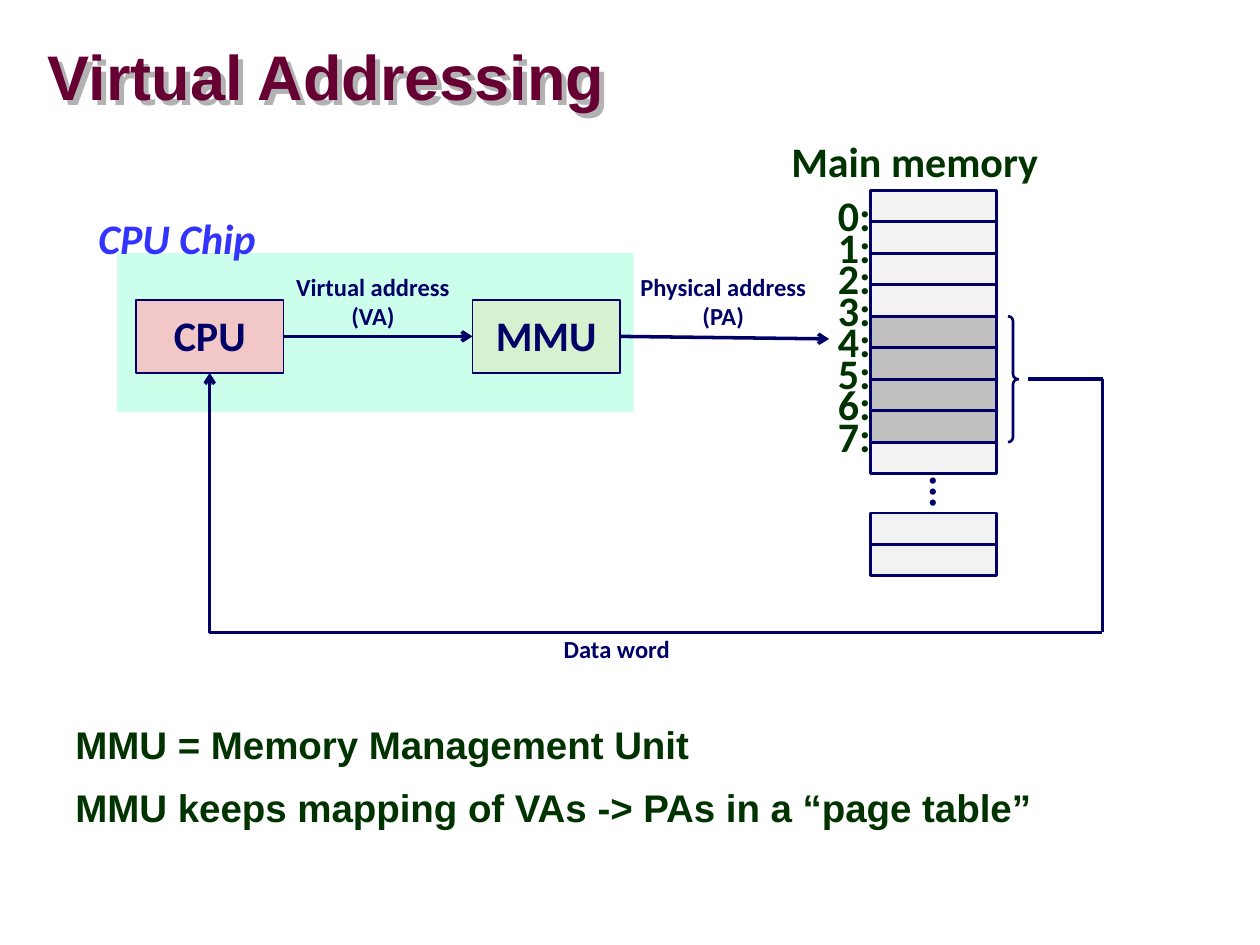
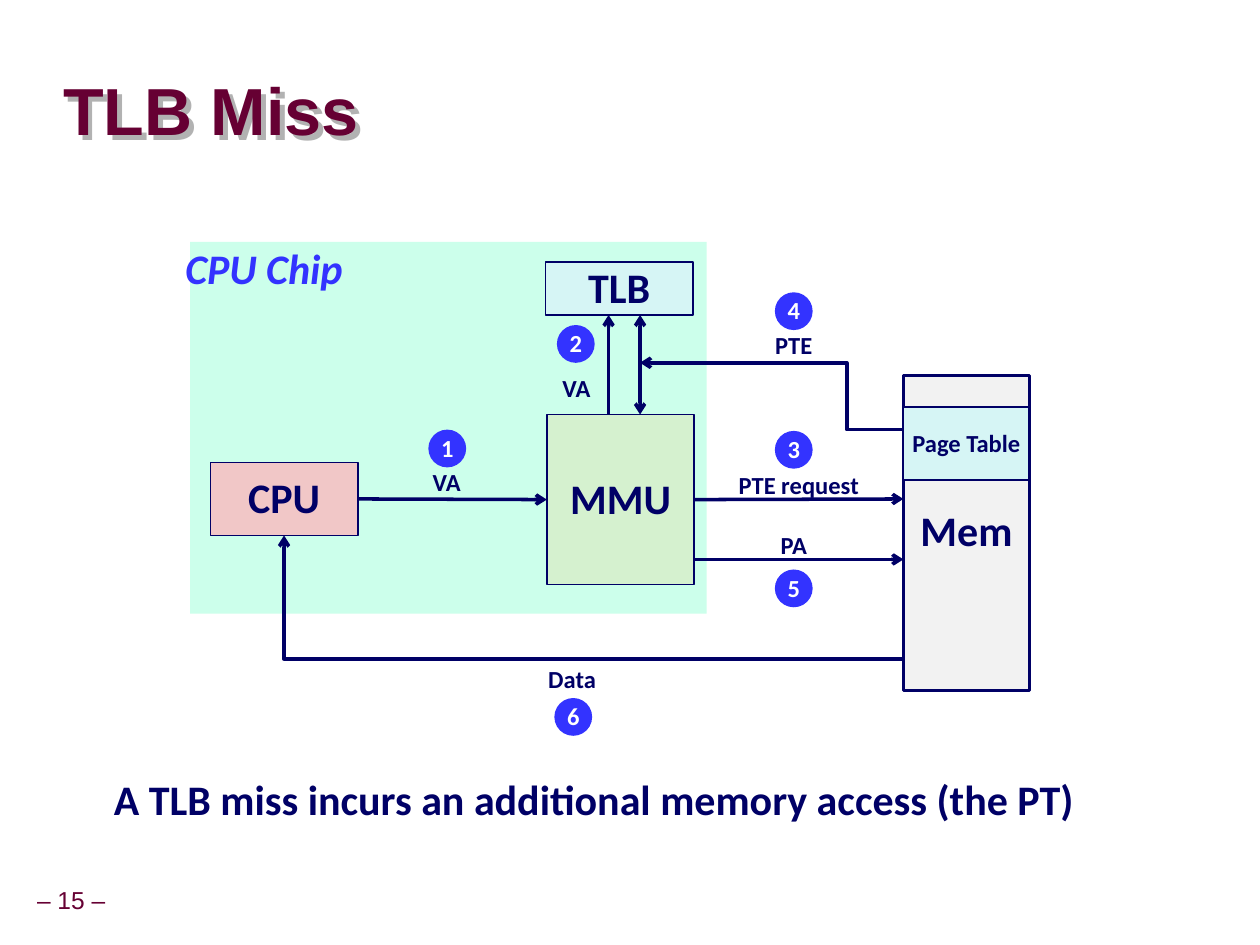
from lxml.etree import SubElement
from pptx import Presentation
from pptx.dml.color import RGBColor
from pptx.enum.shapes import MSO_CONNECTOR, MSO_SHAPE
from pptx.enum.text import MSO_ANCHOR, MSO_AUTO_SIZE, PP_ALIGN
from pptx.oxml import parse_xml
from pptx.oxml.ns import nsdecls, qn
from pptx.util import Inches, Pt

# Shared colours
hue = RGBColor.from_string
NAVY, GREEN, BLUE, WINE = "000066", "003300", "3333FF", "660033"
CHIP, PINK, LIME, AQUA = "CCFFEB", "F1C7C7", "D5F1CF", "D6F5F5"
PALE, GREY, WHITE, SHADE = "F2F2F2", "C0C0C0", "FFFFFF", "B2B2B2"
TOP, MID = MSO_ANCHOR.TOP, MSO_ANCHOR.MIDDLE


def box(page, text, x, y, w, h, fill=None, edge=0, size=14, color=NAVY,
        kind=MSO_SHAPE.RECTANGLE, anchor=MID, gap=0.98, wrap=False,
        align=PP_ALIGN.CENTER, font="Calibri", bold=True, before=0):
    """Add a filled shape, or a text box when there is no fill."""
    place = [Inches(n) for n in (x, y, w, h)]
    if fill:
        item = page.shapes.add_shape(kind, *place)
        item.shadow.inherit = False
        item.fill.solid()
        item.fill.fore_color.rgb = hue(fill)
        if edge:
            item.line.color.rgb = hue(NAVY)
            item.line.width = Pt(edge)
        else:
            item.line.fill.background()
    else:
        item = page.shapes.add_textbox(*place)
    frame = item.text_frame
    frame.text = text
    frame.word_wrap = wrap
    frame.vertical_anchor = anchor
    if not fill and not wrap:
        frame.auto_size = MSO_AUTO_SIZE.SHAPE_TO_FIT_TEXT
    for i, para in enumerate(frame.paragraphs):
        para.alignment = align
        para.line_spacing = gap
        if i and before:
            para.space_before = Pt(before)
        for run in para.runs:
            run.font.name = font
            run.font.size = Pt(size)
            run.font.bold = bold
            run.font.color.rgb = hue(color)
    return item


def wire(page, x1, y1, x2, y2, ends=("tailEnd",), bend=None):
    """Add a line; bend names the preset of an elbow."""
    kind = MSO_CONNECTOR.ELBOW if bend else MSO_CONNECTOR.STRAIGHT
    line = page.shapes.add_connector(
        kind, Inches(x1), Inches(y1), Inches(x2), Inches(y2))
    line.line.color.rgb = hue(NAVY)
    line.line.width = Pt(2)
    props = line._element.spPr
    for end in ends:
        SubElement(props.find(qn("a:ln")), qn("a:" + end), type="arrow")
    SubElement(props, qn("a:effectLst"))
    if bend:
        props.find(qn("a:prstGeom")).set("prst", bend)
    return line


deck = Presentation()
deck.slide_width, deck.slide_height = Inches(10), Inches(7.5)

# Titles and the parts both slides share
pages = []
for name, size, x, y, chip, label in [
        ("Virtual Addressing", 36, 0.38, 0.21,
         (0.93, 2.01, 4.1, 1.26), (0.68, 1.68)),
        ("TLB Miss", 38, 0.5, 0.48,
         (1.51, 1.92, 4.1, 2.95), (1.37, 1.92))]:
    page = deck.slides.add_slide(deck.slide_layouts[5])
    pages.append(page)
    title = page.shapes.title
    title.left, title.top = Inches(x), Inches(y)
    title.width, title.height = Inches(9.53), Inches(0.86)
    title.fill.background()
    frame = title.text_frame
    frame.text = name
    frame.auto_size = MSO_AUTO_SIZE.NONE
    frame.vertical_anchor = MID
    frame.margin_left = frame.margin_right = 0
    frame.margin_top = frame.margin_bottom = 0
    para = frame.paragraphs[0]
    para.alignment = PP_ALIGN.LEFT
    para.line_spacing = 0.87
    font = para.runs[0].font
    font.name, font.size, font.bold = "Arial", Pt(size), True
    font.color.rgb = hue(WINE)
    # An unfilled shape casts the shadow of its text
    title._element.spPr.append(parse_xml(
        f'<a:effectLst {nsdecls("a")}><a:outerShdw dist="50800" dir="2700000">'
        f'<a:srgbClr val="{SHADE}"/></a:outerShdw></a:effectLst>'))

    box(page, "", *chip, fill=CHIP)
    tag = box(page, "CPU Chip", *label, 1.45, 0.46, size=24, color=BLUE,
              anchor=TOP, gap=0.9)
    tag.text_frame.paragraphs[0].runs[0].font.italic = True

first, second = pages

# Slide 1: processor side
cpu = box(first, "CPU", 1.08, 2.38, 1.17, 0.58, PINK, 1, 24)
mmu = box(first, "MMU", 3.75, 2.38, 1.17, 0.58, LIME, 1, 24)
box(first, "Virtual address\n(VA)", 2.25, 2.12, 1.42, 0.56)
box(first, "Physical address\n(PA)", 4.98, 2.12, 1.52, 0.56)
box(first, "Data word", 4.37, 4.99, 1.05, 0.33)

# Main memory cells and their addresses
box(first, "Main memory", 6.18, 1.08, 2.16, 0.45, size=24, color=GREEN,
    anchor=TOP, gap=0.88)
cells = [1.51 + 0.25 * i for i in range(9)] + [4.07, 4.32]
for i, y in enumerate(cells):
    box(first, "", 6.91, y, 1, 0.25, GREY if 4 <= i <= 7 else PALE, 1.5)
    if i < 8:
        box(first, f"{i}:", 6.55, y, 0.46, 0.45, size=24, color=GREEN,
            anchor=TOP, gap=0.88)
dots = box(first, "...", 7, 3.77, 1, 0.25, size=24)
body = dots.text_frame
body.auto_size = MSO_AUTO_SIZE.NONE
body._txBody.bodyPr.set("vert", "eaVert")
body.margin_left = body.margin_right = Inches(0.05)
body.margin_top = body.margin_bottom = 0

brace = first.shapes.add_shape(
    MSO_SHAPE.RIGHT_BRACE, Inches(8), Inches(2.51), Inches(0.08), Inches(1))
brace.shadow.inherit = False
brace.fill.background()
brace.line.color.rgb = hue(NAVY)
brace.line.width = Pt(1.5)
brace.adjustments[0] = 0.5

# Address and data paths
link = wire(first, 2.25, 2.67, 3.75, 2.67)
link.begin_connect(cpu, 3)
link.end_connect(mmu, 1)
wire(first, 4.92, 2.67, 6.58, 2.69).begin_connect(mmu, 3)
wire(first, 8.16, 3.01, 8.75, 3.01, ())
wire(first, 8.75, 3.01, 8.75, 5.02, ())
wire(first, 8.75, 5.02, 1.66, 2.96, bend="bentConnector2").end_connect(cpu, 2)

box(first, "MMU = Memory Management Unit\n"
    "MMU keeps mapping of VAs -> PAs in a “page table”",
    0.5, 5.73, 9.09, 0.97, size=22, color=GREEN, anchor=TOP, gap=0.85,
    wrap=True, align=PP_ALIGN.LEFT, font="Arial", before=13.8)

# Slide 2: units
cpu = box(second, "CPU", 1.67, 3.67, 1.17, 0.58, PINK, 1, 24)
mmu = box(second, "MMU", 4.34, 3.29, 1.17, 1.35, LIME, 1, 24)
box(second, "TLB", 4.33, 2.08, 1.17, 0.42, AQUA, 1, 24)
box(second, "Mem", 7.17, 2.98, 1, 2.5, PALE, 1.5, 24, gap=0.9)
box(second, "Page Table", 7.17, 3.23, 1, 0.58, AQUA, 1)

# Step names and numbers
for text, x, y, w in [
        ("VA", 3.33, 3.67, 0.43), ("VA", 4.36, 2.92, 0.43),
        ("PTE request", 5.76, 3.69, 1.16), ("PTE", 6.0, 2.58, 0.6),
        ("PA", 6.09, 4.17, 0.42), ("Data", 4.25, 5.23, 0.58)]:
    box(second, text, x, y, w, 0.33)
steps = [(3.4, 3.41), (4.42, 2.58), (6.15, 3.42),
         (6.15, 2.32), (6.15, 4.52), (4.4, 5.54)]
for n, (x, y) in enumerate(steps, 1):
    box(second, str(n), x, y, 0.3, 0.3, BLUE, color=WHITE,
        kind=MSO_SHAPE.OVAL)

# Paths between the units
link = wire(second, 2.84, 3.96, 4.34, 3.96)
link.begin_connect(cpu, 3)
link.end_connect(mmu, 1)
wire(second, 5.51, 3.96, 7.17, 3.96).begin_connect(mmu, 3)
wire(second, 5.51, 4.44, 7.17, 4.44)
wire(second, 4.83, 3.29, 4.83, 2.5)
wire(second, 5.08, 2.5, 5.08, 3.29, ("headEnd", "tailEnd"))
wire(second, 7.17, 5.23, 2.25, 4.25, bend="bentConnector2").end_connect(cpu, 2)
reply = wire(second, 7.17, 3.41, 5.08, 2.88, bend="bentConnector3")
guide = reply._element.spPr.find(qn("a:prstGeom")).get_or_add_avLst()
SubElement(guide, qn("a:gd"), name="adj1", fmla="val 21500")

# Closing line and page number
box(second, "A TLB miss incurs an additional memory access (the PT)",
    0.5, 6.09, 8.43, 1, size=24, anchor=TOP, gap=1, wrap=True)
box(second, "– 15 –", -0.09, 7, 1.31, 0.31, color=WINE, gap=0.9,
    font="Arial", bold=False)

deck.save("out.pptx")
